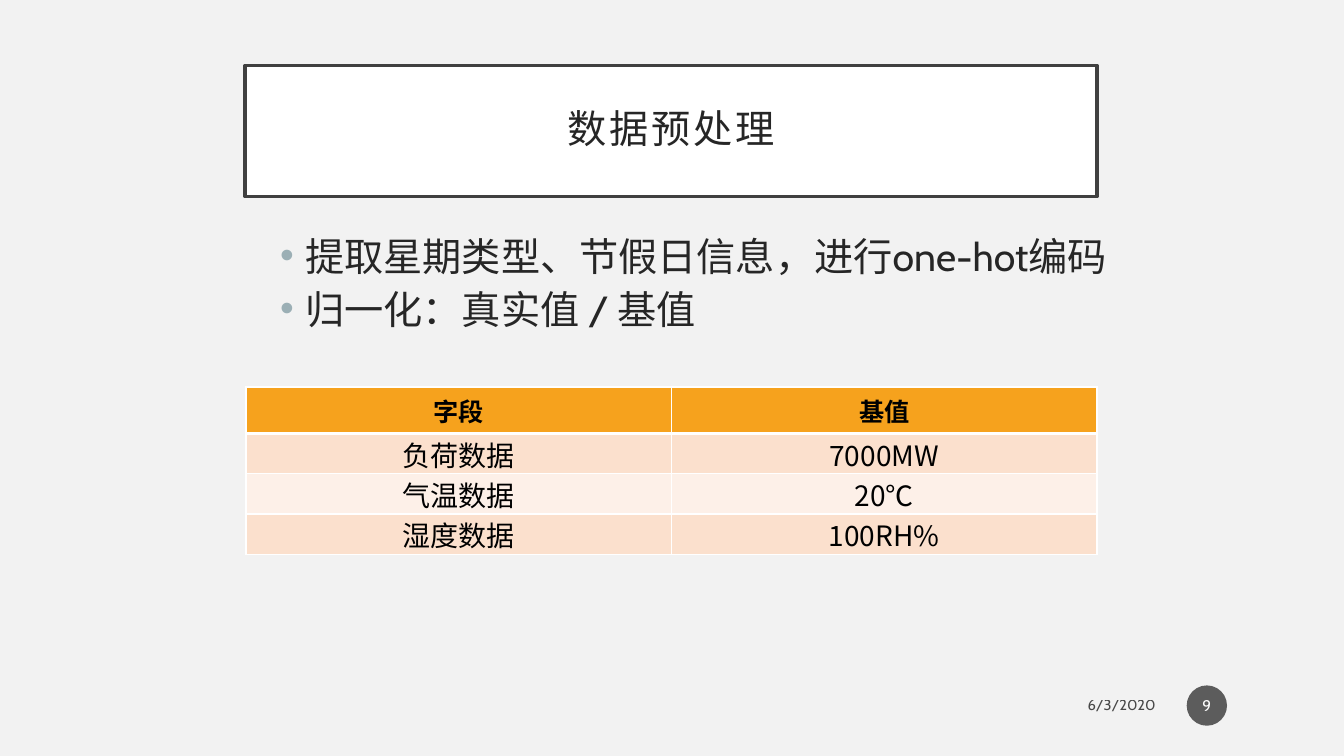
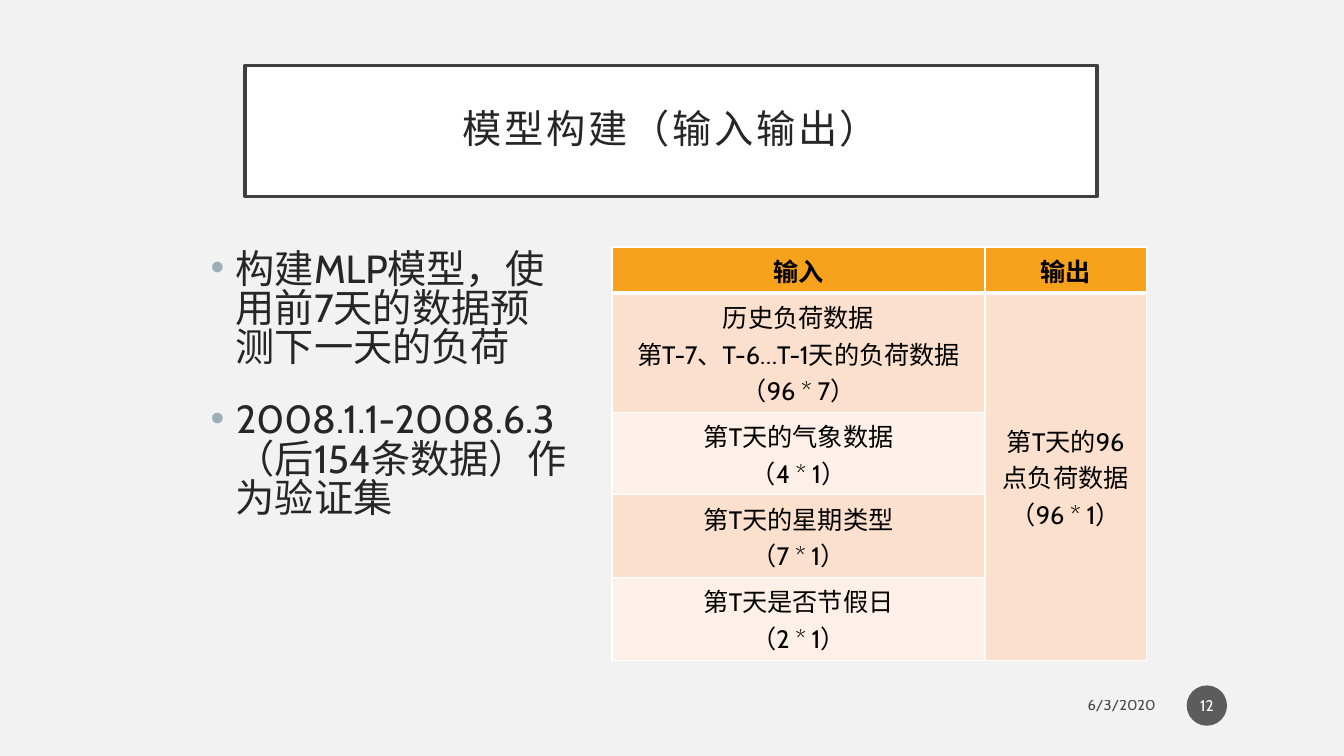
import pptx
import pptx.util
import pptx.oxml
import pptx.dml.color
import pptx.oxml.ns
import pptx.enum.text
import pptx.enum.shapes
from lxml import etree

Inches, Pt = pptx.util.Inches, pptx.util.Pt
RGB = pptx.dml.color.RGBColor.from_string
ALIGN = pptx.enum.text.PP_ALIGN
MIDDLE = pptx.enum.text.MSO_ANCHOR.MIDDLE
qn = pptx.oxml.ns.qn

COLORS = {
    "back": "F2F2F2", "white": "FFFFFF", "frame": "404040", "text": "262626",
    "black": "000000", "badge": "1D1D1D", "bullet": "9BAFB5",
    "head": "F6A21D", "odd": "FBE0CD", "even": "FDF0E8",
}
LATIN, EAST = "Cabin", "Noto Sans CJK SC"
ALPHA = "70000"


def write(tf, text, size, color="black", font=LATIN, bold=False, align=ALIGN.CENTER,
          margins=(0.1, 0.05), anchor=MIDDLE, line=None, gap=0, bullet=False,
          tracking=None, alpha=None):
    """Write each line of text as one formatted paragraph."""
    tf.word_wrap = True
    tf.margin_left = tf.margin_right = Inches(margins[0])
    tf.margin_top = tf.margin_bottom = Inches(margins[1])
    tf.vertical_anchor = anchor
    for i, words in enumerate(text.split("\n")):
        p = tf.paragraphs[0] if i == 0 else tf.add_paragraph()
        p.alignment = align
        p.space_before = Pt(gap if i else 0)
        if line:
            p.line_spacing = line
        if bullet:
            pPr = p._p.get_or_add_pPr()
            pPr.set("marL", str(Inches(0.5)))
            pPr.set("indent", str(-Inches(0.25)))
            clr = etree.SubElement(pPr, qn("a:buClr"))
            etree.SubElement(clr, qn("a:srgbClr"), val=COLORS["bullet"])
            etree.SubElement(pPr, qn("a:buFont"), typeface="Arial")
            etree.SubElement(pPr, qn("a:buChar"), char="•")
        r = p.add_run()
        r.text = words
        r.font.size, r.font.bold, r.font.name = Pt(size), bold, font
        r.font.color.rgb = RGB(COLORS[color])
        rPr = r._r.get_or_add_rPr()
        rPr.find(qn("a:latin")).addnext(etree.Element(qn("a:ea"), typeface=EAST))
        if tracking:
            rPr.set("spc", str(tracking * 100))
        if alpha:
            etree.SubElement(rPr.find(".//" + qn("a:srgbClr")), qn("a:alpha"), val=alpha)


def style_cell(cell, fill, bottom=1):
    """Fill a cell and give it white borders (bottom width in points)."""
    tcPr = cell._tc.get_or_add_tcPr()
    for side, width in (("L", 1), ("R", 1), ("T", 1), ("B", bottom)):
        ln = etree.SubElement(tcPr, qn("a:ln" + side), w=str(Pt(width)))
        solid = etree.SubElement(ln, qn("a:solidFill"))
        etree.SubElement(solid, qn("a:srgbClr"), val=COLORS["white"])
    cell.fill.solid()
    cell.fill.fore_color.rgb = RGB(COLORS[fill])


# Content of the slides
slides = [
    {
        "title": "数据预处理", "page": "9",
        "body": "提取星期类型、节假日信息，进行one-hot编码\n归一化：真实值 / 基值",
        "body_at": (2.43, 2.33, 8.84, 1.3), "gap": 10,
        "table_at": (2.44, 3.84), "cols": (4.22, 4.22), "rows": (0.46, 0.4, 0.4, 0.4),
        "cells": [("字段", "基值"), ("负荷数据", "7000MW"),
                  ("气温数据", "20℃"), ("湿度数据", "100RH%")],
        "cell_format": {"size": 20, "font": EAST, "margins": (0.07, 0)},
        "merge": False,
    },
    {
        "title": "模型构建（输入输出）", "page": "12",
        "body": "构建MLP模型，使用前7天的数据预测下一天的负荷\n"
                "2008.1.1-2008.6.3（后154条数据）作为验证集",
        "body_at": (1.74, 2.45, 3.98, 4.29), "gap": 24,
        "table_at": (6.07, 2.45), "cols": (3.7, 1.6), "rows": (0.46, 1.18, 0.82, 0.82, 0.82),
        "cells": [("输入", "输出"),
                  ("历史负荷数据\n第T-7、T-6…T-1天的负荷数据\n（96 * 7）",
                   "第T天的96点负荷数据\n（96 * 1）"),
                  ("第T天的气象数据\n（4 * 1）",),
                  ("第T天的星期类型\n（7 * 1）",),
                  ("第T天是否节假日\n（2 * 1）",)],
        "cell_format": {"size": 18},
        "merge": True,
    },
]

prs = pptx.Presentation()
prs.slide_width, prs.slide_height = Inches(13.33), Inches(7.5)

# Shared background
back = prs.slide_master.background.fill
back.solid()
back.fore_color.rgb = RGB(COLORS["back"])

for page in slides:
    s = prs.slides.add_slide(prs.slide_layouts[5])

    # Framed title
    title = s.shapes.title
    title.left, title.top, title.width, title.height = map(Inches, (2.43, 0.65, 8.45, 1.3))
    title.fill.solid()
    title.fill.fore_color.rgb = RGB(COLORS["white"])
    title.line.color.rgb = RGB(COLORS["frame"])
    title.line.width = Pt(2.5)
    title.text_frame.auto_size = pptx.enum.text.MSO_AUTO_SIZE.NONE
    write(title.text_frame, page["title"], 28, "text", margins=(0.2, 0.2),
          line=0.9, tracking=2)

    # Bulleted body
    body = s.shapes.add_textbox(*map(Inches, page["body_at"]))
    write(body.text_frame, page["body"], 28, "text", align=ALIGN.LEFT, line=0.83,
          anchor=pptx.enum.text.MSO_ANCHOR.TOP, gap=page["gap"], bullet=True)

    # Table
    cols, rows = page["cols"], page["rows"]
    table = s.shapes.add_table(len(rows), len(cols), *map(Inches, page["table_at"]),
                               Inches(sum(cols)), Inches(sum(rows))).table
    table.horz_banding = False
    for column, width in zip(table.columns, cols):
        column.width = Inches(width)
    for i, (height, texts) in enumerate(zip(rows, page["cells"])):
        table.rows[i].height = Inches(height)
        for j in range(len(cols)):
            if i == 0:
                style_cell(table.cell(i, j), "head", bottom=3)
            else:
                style_cell(table.cell(i, j), "odd" if i % 2 else "even")
        cell_format = page["cell_format"] if i else {"size": 18, "bold": True}
        for j, text in enumerate(texts):
            cell = table.cell(i, j)
            write(cell.text_frame, text, **{"margins": (0.1, 0.05), **cell_format})
            cell.vertical_anchor = MIDDLE
            side, edge = cell_format.get("margins", (0.1, 0.05))
            cell.margin_left = cell.margin_right = Inches(side)
            cell.margin_top = cell.margin_bottom = Inches(edge)
    if page["merge"]:
        table.cell(1, 1).merge(table.cell(len(rows) - 1, 1))

    # Footer: date and page badge
    date = s.shapes.add_textbox(*map(Inches, (8.55, 6.82, 3.01, 0.35)))
    write(date.text_frame, "6/3/2020", 10.5, align=ALIGN.RIGHT, alpha=ALPHA)
    badge = s.shapes.add_shape(pptx.enum.shapes.MSO_SHAPE.OVAL,
                               *map(Inches, (11.77, 6.8, 0.4, 0.4)))
    badge.shadow.inherit = False
    badge.line.fill.background()
    badge.fill.solid()
    badge.fill.fore_color.rgb = RGB(COLORS["badge"])
    tint = badge._element.spPr.find(qn("a:solidFill")).find(qn("a:srgbClr"))
    etree.SubElement(tint, qn("a:alpha"), val=ALPHA)
    write(badge.text_frame, page["page"], 11, "white", margins=(0.02, 0.05))

prs.save("out.pptx")
